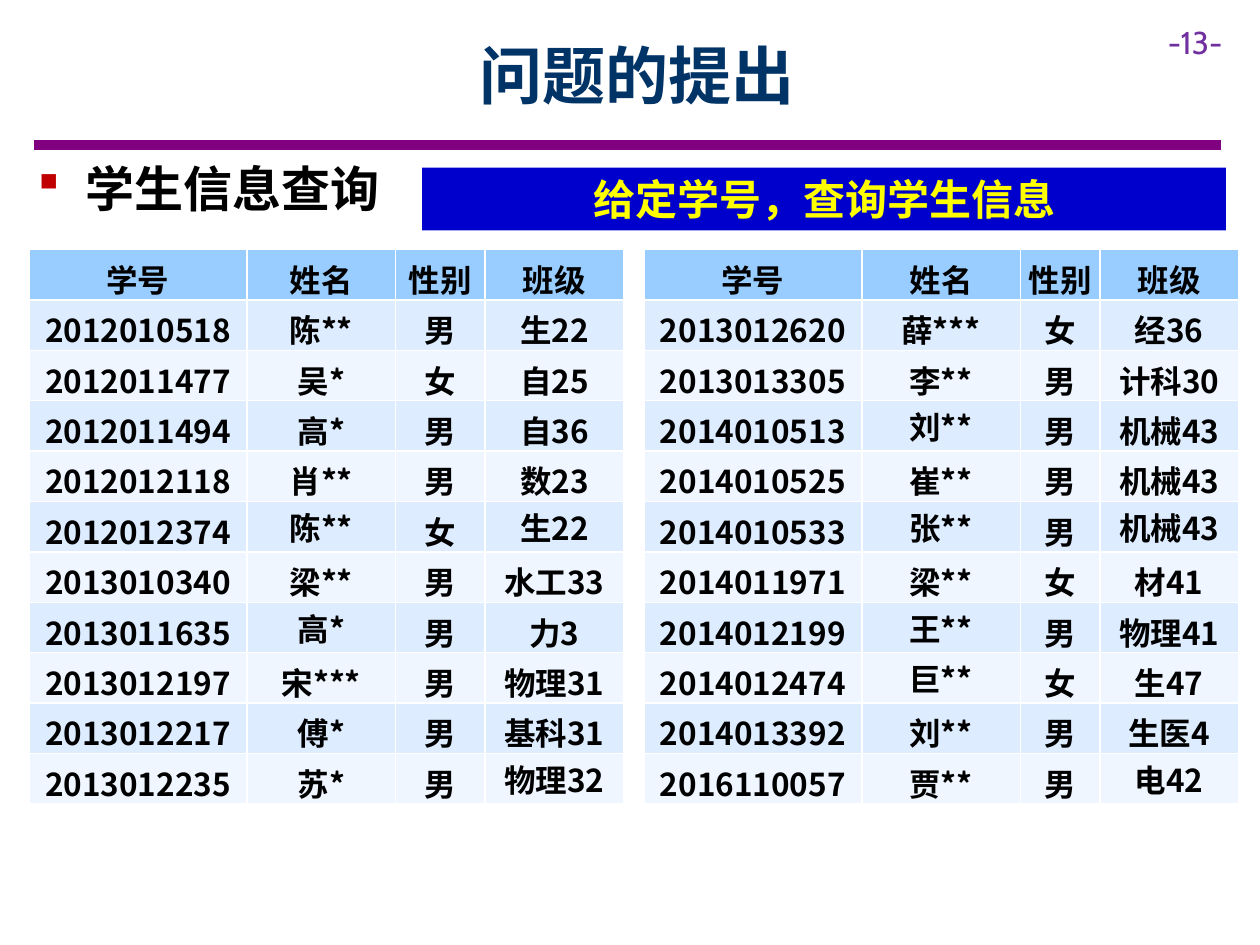
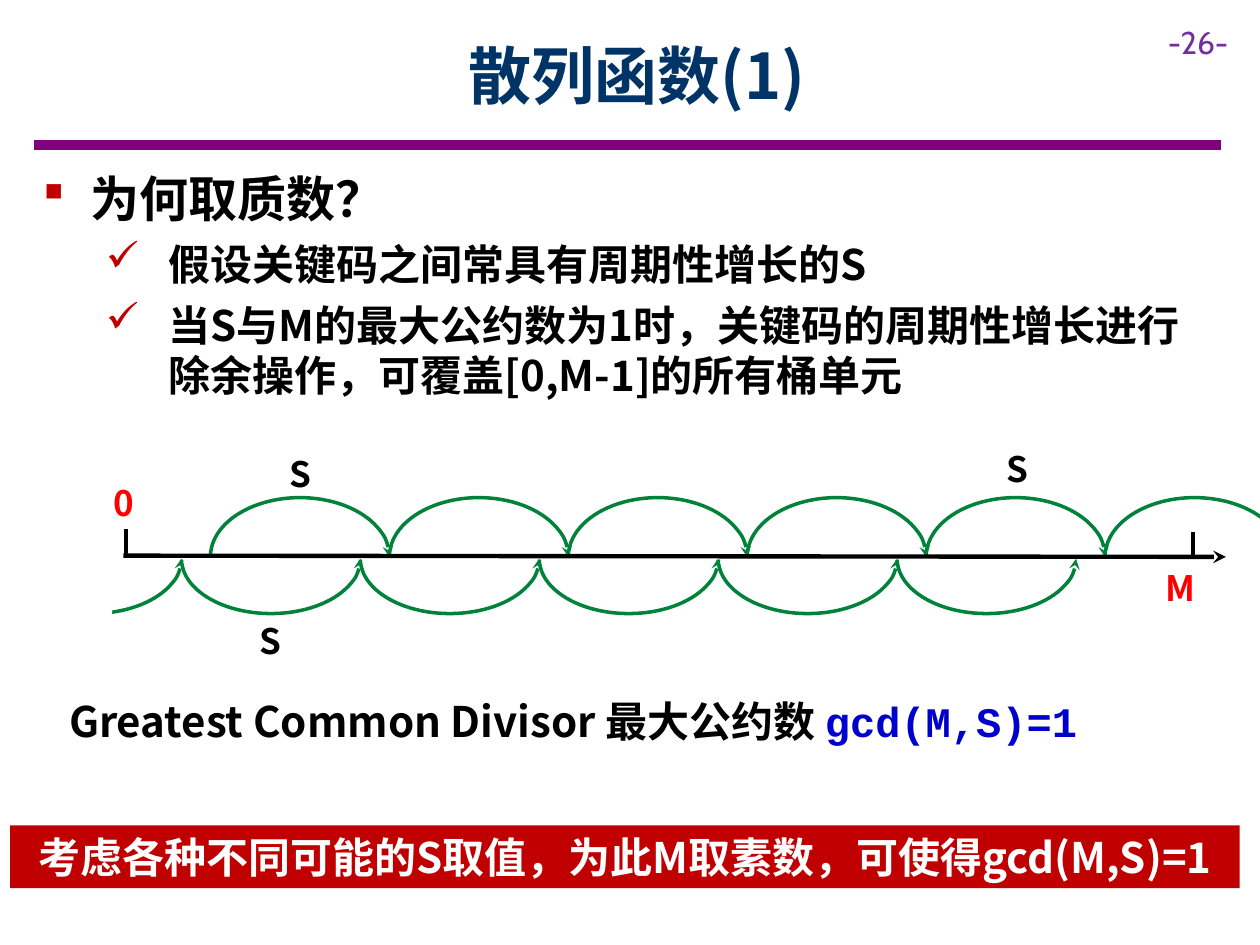
"""Build two lecture slides on hashing: a student table and the choice of a prime."""
from lxml.etree import SubElement
from pptx import Presentation
from pptx.dml.color import RGBColor
from pptx.enum.shapes import MSO_CONNECTOR as Link, MSO_SHAPE as Shape
from pptx.enum.text import MSO_ANCHOR as Anchor, PP_ALIGN as Align
from pptx.oxml.ns import qn
from pptx.util import Pt

PX = 9144
FACE = "Noto Sans CJK SC"
BLACK, WHITE, RED, YELLOW = "000000", "FFFFFF", "FF0000", "FFFF00"
NAVY, PURPLE, VIOLET, BLUE = "003366", "800080", "7030A0", "0000CC"
CRIMSON, GREEN = "C00000", "00823B"
HEADER, ROW_FILLS = "99CCFF", ("EFF6FF", "DEECFF")
rgb = RGBColor.from_string


def write(para, text, color, size, **look):
    """Add a run of text to a paragraph."""
    span = para.add_run()
    span.text = text
    span.font.color.rgb = rgb(color)
    for name, value in {"name": FACE, "bold": True, "size": Pt(size), **look}.items():
        setattr(span.font, name, value)
    SubElement(span.font._element, qn("a:ea"), typeface=span.font.name)


def outline(shape, color, width, arrow=False):
    """Give a line or an arc its stroke, without a shadow."""
    shape.line.color.rgb = rgb(color)
    shape.line.width = Pt(width)
    frame = shape._element.spPr
    if arrow:
        SubElement(frame.find(qn("a:ln")), qn("a:tailEnd"), type="stealth")
    SubElement(frame, qn("a:effectLst"))


deck = Presentation()
deck.slide_width, deck.slide_height = 1000 * PX, 750 * PX

pages = []
for title, number in (("问题的提出", "-13-"), ("散列函数(1)", "-26-")):
    page = deck.slides.add_slide(deck.slide_layouts[6])
    pages.append(page)
    rule = page.shapes.add_connector(Link.STRAIGHT, 27 * PX, 115 * PX, 969 * PX, 115 * PX)
    outline(rule, PURPLE, 6)
    box = page.shapes.add_textbox(917 * PX, 13 * PX, 83 * PX, 40 * PX)
    box.text_frame.word_wrap = True
    write(box.text_frame.paragraphs[0], number, VIOLET, 18, name="Cabin", bold=False)
    box = page.shapes.add_textbox(90 * PX, 9 * PX, 831 * PX, 100 * PX)
    box.text_frame.word_wrap = True
    box.text_frame.vertical_anchor = Anchor.MIDDLE
    para = box.text_frame.paragraphs[0]
    para.alignment = Align.CENTER
    write(para, title, NAVY, 36)
student_page, prime_page = pages

MARKS = {1: ("§", 28, 38, 38), 2: ("ü", 24, 100, 50)}
outlines = (
    (student_page, (20, 121, 331, 113), [(1, "学生信息查询")]),
    (prime_page, (24, 129, 947, 195), [
        (1, "为何取质数？"),
        (2, "假设关键码之间常具有周期性增长的S"),
        (2, "当S与M的最大公约数为1时，关键码的周期性增长进行除余操作，可覆盖[0,M-1]的所有桶单元"),
    ]),
)
for page, at, points in outlines:
    frame = page.shapes.add_textbox(*[n * PX for n in at]).text_frame
    frame.word_wrap = True
    for index, (level, text) in enumerate(points):
        para = frame.add_paragraph() if index else frame.paragraphs[0]
        mark, size, margin, hang = MARKS[level]
        para.level = level - 1
        para.space_after = Pt(6)
        write(para, text, BLACK, size)
        props = para._p.get_or_add_pPr()
        props.set("marL", str(margin * PX))
        props.set("indent", str(-hang * PX))
        SubElement(SubElement(props, qn("a:buClr")), qn("a:srgbClr"), val=CRIMSON)
        SubElement(props, qn("a:buFont"), typeface="Wingdings")
        SubElement(props, qn("a:buChar"), char=mark)

HEADINGS = "学号 姓名 性别 班级"
student_tables = (
    (23, (173, 118, 71, 110), {(5, 1), (5, 3), (7, 1), (10, 3)}, (
        HEADINGS,
        "2012010518 陈** 男 生22",
        "2012011477 吴* 女 自25",
        "2012011494 高* 男 自36",
        "2012012118 肖** 男 数23",
        "2012012374 陈** 女 生22",
        "2013010340 梁** 男 水工33",
        "2013011635 高* 男 力3",
        "2013012197 宋*** 男 物理31",
        "2013012217 傅* 男 基科31",
        "2013012235 苏* 男 物理32",
    )),
    (511, (173, 126, 63, 110), {(3, 1), (5, 1), (5, 3), (7, 1), (8, 1), (10, 3)}, (
        HEADINGS,
        "2013012620 薛*** 女 经36",
        "2013013305 李** 男 计科30",
        "2014010513 刘** 男 机械43",
        "2014010525 崔** 男 机械43",
        "2014010533 张** 男 机械43",
        "2014011971 梁** 女 材41",
        "2014012199 王** 男 物理41",
        "2014012474 巨** 女 生47",
        "2014013392 刘** 男 生医4",
        "2016110057 贾** 男 电42",
    )),
)
for left, widths, centred, records in student_tables:
    table = student_page.shapes.add_table(
        len(records), len(widths), left * PX, 198 * PX, sum(widths) * PX, 440 * PX).table
    for column, width in zip(table.columns, widths):
        column.width = width * PX
    for row, record in enumerate(records):
        table.rows[row].height = 40 * PX
        for col, text in enumerate(record.split()):
            cell = table.cell(row, col)
            middle = (row, col) in centred
            layout = {
                "margin_left": 0, "margin_right": 0, "margin_bottom": 0,
                "margin_top": 0 if middle else 5 * PX,
                "vertical_anchor": Anchor.MIDDLE if middle else Anchor.TOP,
            }
            for name, value in layout.items():
                setattr(cell, name, value)
            cell.fill.solid()
            cell.fill.fore_color.rgb = rgb(ROW_FILLS[row % 2] if row else HEADER)
            para = cell.text_frame.paragraphs[0]
            para.alignment = Align.CENTER
            write(para, text, BLACK, 18)

banners = (
    (student_page, (335, 133, 638, 50), BLUE, YELLOW, "给定学号，查询学生信息"),
    (prime_page, (8, 655, 976, 50), CRIMSON, WHITE,
     "考虑各种不同可能的S取值，为此M取素数，可使得gcd(M,S)=1"),
)
for page, at, fill, color, text in banners:
    banner = page.shapes.add_shape(Shape.RECTANGLE, *[n * PX for n in at])
    banner.shadow.inherit = False
    banner.fill.solid()
    banner.fill.fore_color.rgb = rgb(fill)
    banner.line.fill.background()
    banner.text_frame.word_wrap = True
    banner.text_frame.vertical_anchor = Anchor.TOP
    para = banner.text_frame.paragraphs[0]
    para.alignment = Align.CENTER
    write(para, text, color, 24)

STEP = 142
for start, top, height, below in ((167, 395, 94, False), (2, 400, 87, True)):
    for hop in range(6):
        arc = prime_page.shapes.add_shape(
            Shape.ARC, (start + hop * STEP) * PX, top * PX, STEP * PX, height * PX)
        arc.adjustments[0], arc.adjustments[1] = 108.363, 0
        arc.fill.background()
        outline(arc, GREEN, 2, arrow=True)
        if below:
            arc._element.spPr.xfrm.set("flipV", "1")

axis_lines = (
    ((100, 441, 100, 420), False),
    ((98, 441, 973, 442), True),
    ((947, 443, 947, 422), False),
)
for ends, arrow in axis_lines:
    line = prime_page.shapes.add_connector(Link.STRAIGHT, *[n * PX for n in ends])
    outline(line, BLACK, 2.5, arrow)

cover = prime_page.shapes.add_shape(Shape.RECTANGLE, -11 * PX, 443 * PX, 100 * PX, 63 * PX)
cover.shadow.inherit = False
cover.fill.solid()
cover.fill.fore_color.rgb = rgb(WHITE)
cover.line.fill.background()

axis_labels = (
    (220, 354, 37, "S", BLACK),
    (196, 487, 37, "S", BLACK),
    (789, 350, 37, "S", BLACK),
    (80, 377, 38, "0", RED),
    (915, 445, 49, "M", RED),
)
for left, top, width, text, color in axis_labels:
    box = prime_page.shapes.add_textbox(left * PX, top * PX, width * PX, 44 * PX)
    box.text_frame.word_wrap = False
    write(box.text_frame.paragraphs[0], text, color, 20)

box = prime_page.shapes.add_textbox(45 * PX, 547 * PX, 927 * PX, 50 * PX)
box.text_frame.word_wrap = True
para = box.text_frame.paragraphs[0]
write(para, "Greatest Common Divisor 最大公约数 ", BLACK, 24)
write(para, "gcd(M,S)=1", BLUE, 24, name="Courier New")

deck.save("out.pptx")
